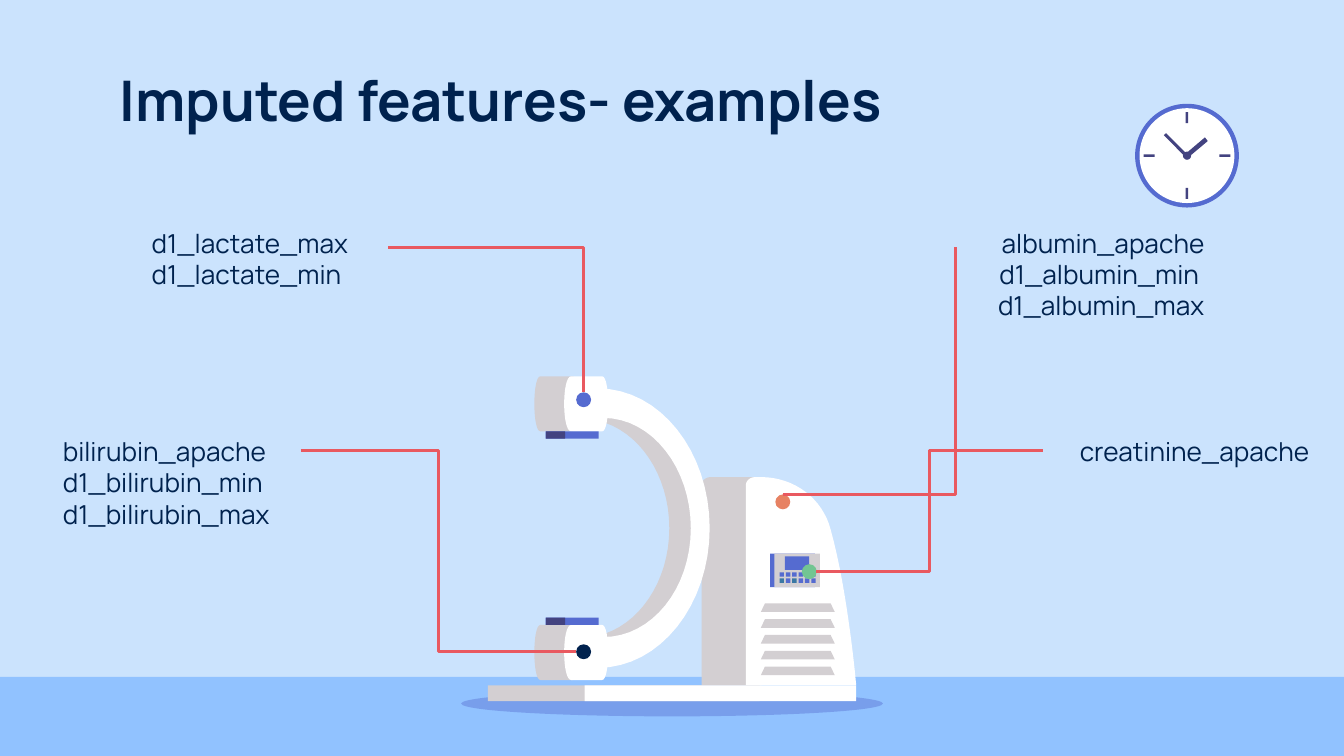
from collections import namedtuple

from lxml.etree import SubElement
from pptx import Presentation
from pptx.dml.color import RGBColor
from pptx.enum.shapes import MSO_CONNECTOR as Link, MSO_SHAPE as Preset
from pptx.enum.text import MSO_ANCHOR as Anchor, PP_ALIGN as Align
from pptx.oxml.ns import qn
from pptx.util import Pt

SKY = RGBColor(0xCB, 0xE3, 0xFD)
FLOOR = RGBColor(0x91, 0xC2, 0xFF)
NAVY = RGBColor(0x00, 0x22, 0x4E)
BLUE = RGBColor(0x55, 0x6B, 0xD0)
TEAL = RGBColor(0x3B, 0x78, 0xA4)
INDIGO = RGBColor(0x43, 0x43, 0x80)
GREY = RGBColor(0xD3, 0xCF, 0xD2)
WHITE = RGBColor(0xFF, 0xFF, 0xFF)
RED = RGBColor(0xE9, 0x59, 0x60)
ORANGE = RGBColor(0xE7, 0x82, 0x63)
GREEN = RGBColor(0x72, 0xC5, 0x92)

Box = namedtuple("Box", "left top width height")
CURVE_STEPS = 16
DOT = 8


def paint(shape, color):
    shape.shadow.inherit = False
    shape.fill.solid()
    shape.fill.fore_color.rgb = color
    shape.line.fill.background()
    return shape


def add_preset(page, box, kind, color, left, top, width, height):
    lengths = (box.left + left, box.top + top, width, height)
    return paint(page.shapes.add_shape(kind, *map(Pt, lengths)), color)


def add_outline(page, box, color, start, *steps):
    """Join points (x, y) by lines and (x1, y1, x2, y2, x, y) by cubic curves."""
    points = [start]
    for step in steps:
        if len(step) == 2:
            points.append(step)
            continue
        nodes = (points[-1], step[:2], step[2:4], step[4:])
        for index in range(1, CURVE_STEPS + 1):
            t = index / CURVE_STEPS
            weights = ((1 - t) ** 3, 3 * t * (1 - t) ** 2, 3 * t * t * (1 - t), t ** 3)
            points.append(tuple(sum(w * node[axis] for w, node in zip(weights, nodes))
                                for axis in (0, 1)))
    first, *rest = [(Pt(box.left + x), Pt(box.top + y)) for x, y in points]
    builder = page.shapes.build_freeform(*first)
    builder.add_line_segments(rest, close=True)
    return paint(builder.convert_to_shape(), color)


def add_text(page, box, lines, align=Align.LEFT, **font):
    frame = page.shapes.add_textbox(*map(Pt, box)).text_frame
    layout = {"word_wrap": True, "vertical_anchor": Anchor.TOP, "margin_left": Pt(7.2),
              "margin_right": Pt(7.2), "margin_top": 0, "margin_bottom": 0}
    for name, value in layout.items():
        setattr(frame, name, value)
    for index, line in enumerate(lines):
        para = frame.add_paragraph() if index else frame.paragraphs[0]
        para.alignment = align
        span = para.add_run()
        span.text = line
        span.font.color.rgb = NAVY
        for name, value in {"name": "Manrope", "size": Pt(14), **font}.items():
            setattr(span.font, name, value)


def add_leader(page, begin, end, kind="bentConnector3"):
    leader = page.shapes.add_connector(Link.ELBOW, *map(Pt, begin + end))
    leader.line.color.rgb = RED
    leader.line.width = Pt(1.5)
    properties = leader.element.spPr
    properties.find(qn("a:prstGeom")).set("prst", kind)
    SubElement(properties, qn("a:effectLst"))


def draw_panel(page, box):
    add_preset(page, box, Preset.RECTANGLE, BLUE, 0, 0, 24, 18)
    add_preset(page, box, Preset.RECTANGLE, GREY, 2.2, 0, 24.4, 18)
    add_preset(page, box, Preset.RECTANGLE, BLUE, 7.9, 1.5, 13, 7.2)
    # Keypad
    for row in range(2):
        for column in range(6):
            color = TEAL if row == 1 and column in (0, 2) else BLUE
            add_preset(page, box, Preset.RECTANGLE, color,
                       5 + 3.4 * column, 10 + 3.3 * row, 2.4, 2.4)


def draw_head(page, box, plate_top):
    # Housing, grey side then white front
    for color, left, right, bulge_left, bulge_right in (
            (GREY, 4.3, 21.6, 0, 25.2), (WHITE, 20.8, 37.4, 15.8, 41.7)):
        add_outline(page, box, color, (left, 0),
                    (bulge_left, 0, bulge_left, box.height, left, box.height),
                    (right, box.height), (bulge_right, box.height, bulge_right, 0, right, 0))
    # Detector plate
    for color, width in ((BLUE, 28.4), (INDIGO, 10.4)):
        add_preset(page, box, Preset.RECTANGLE, color, 7.2, plate_top, width, 3.9)


def draw_scanner(page, box):
    # Floor shadow
    shade = add_preset(page, box, Preset.OVAL, BLUE, 0, 168.5, box.width, 13.7)
    SubElement(shade.element.spPr.find(".//" + qn("a:srgbClr")), qn("a:alpha"), val="41000")
    # Cabinet
    add_outline(page, box, GREY, (133.9, 54), (131, 54, 128.9, 56, 128.9, 58.3),
                (128.9, 165.6), (161, 165.6), (160.6, 54))
    add_outline(page, box, WHITE, (157.7, 54), (154.8, 54, 152.6, 56, 152.6, 58.3),
                (152.6, 165.6), (211.7, 165.6), (211.7, 165.6, 207.4, 115.9, 198, 82.1),
                (193.7, 65.5, 178.6, 54, 160.6, 54))
    draw_panel(page, Box(box.left + 165.6, box.top + 95, 26.6, 18))
    # Vents
    for index in range(5):
        top = 121.7 + 8.46 * index
        add_outline(page, box, GREY, (162.8, top), (160.6, top + 4.6),
                    (200.2, top + 4.6), (198, top))
    # Base
    for color, left in ((GREY, 14.4), (WHITE, 66.2)):
        add_preset(page, box, Preset.RECTANGLE, color, left, 165.6, 145.5, 8.5)
    # Joint between arm and cabinet
    add_outline(page, box, GREY, (128.9, 68.4), (128.9, 93.6), (141.1, 93.6),
                (148.3, 93.6, 148.3, 68.4, 141.1, 68.4))
    # Arm, grey inside then white outside
    add_outline(page, box, GREY, (73.4, 6.5), (73.4, 23.8),
                (95, 28.8, 111.6, 52.6, 111.6, 81.4), (111.6, 110.2, 95, 133.9, 73.4, 139),
                (73.4, 156.2), (73.4, 156.2, 128.9, 137.5, 128.9, 79.9),
                (128.9, 23, 73.4, 6.5, 73.4, 6.5))
    add_outline(page, box, WHITE, (73.4, 6.5), (73.4, 23), (76.3, 22.3),
                (102.2, 22.3, 123.1, 49, 123.1, 81.4),
                (123.1, 113.8, 102.2, 139.7, 76.3, 139.7), (73.4, 139.7), (73.4, 156.2),
                (106.6, 156.2, 133.2, 122.4, 133.2, 81.4), (133.2, 40.3, 106.6, 6.5, 73.4, 6.5))
    # Upper and lower heads
    for top, plate_top in ((0, 29.5), (133.2, -3.9)):
        draw_head(page, Box(box.left + 38.2, box.top + top, 41.7, 29.5), plate_top)


def draw_clock(page, box):
    middle = box.width / 2
    # Rim and face
    for color, inset in ((BLUE, 0), (WHITE, 2.4)):
        size = box.width - 2 * inset
        add_preset(page, box, Preset.OVAL, color, inset, inset, size, size)
    # Quarter marks
    for x, y in ((0, -1), (1, 0), (0, 1), (-1, 0)):
        width, height = (5.9, 1.4) if x else (1.4, 5.9)
        add_preset(page, box, Preset.RECTANGLE, INDIGO, middle + 20.3 * x - width / 2,
                   middle + 20.3 * y - height / 2, width, height)
    # Hub and hands
    add_preset(page, box, Preset.OVAL, INDIGO, middle - 2.2, middle - 2.2, 4.4, 4.4)
    add_outline(page, box, INDIGO, (37.4, 18), (38.9, 20), (28.4, 28.8), (26.8, 27))
    add_outline(page, box, INDIGO, (16.6, 15.8), (28.2, 27.4), (27, 28.6), (15.4, 16.8))


def draw_callouts(page, box):
    texts = (
        (74.2, 121.7, Align.LEFT, ("d1_lactate_max", "d1_lactate_min")),
        (491.8, 121.7, Align.RIGHT, ("albumin_apache", "d1_albumin_min ", "d1_albumin_max")),
        (26.6, 233.3, Align.LEFT, ("bilirubin_apache", "d1_bilirubin_min", "d1_bilirubin_max")),
        (550.8, 233.3, Align.RIGHT, ("creatinine_apache ",)),
    )
    for left, top, align, lines in texts:
        place = Box(box.left + left, box.top + top, 160.6, 17.5 * len(lines))
        add_text(page, place, lines, align)
    # Target dots, by centre
    for color, x, y in ((BLUE, 312.7, 214.2), (NAVY, 312.7, 349.2),
                        (ORANGE, 419.4, 268.9), (GREEN, 433.6, 306.3)):
        add_preset(page, box, Preset.OVAL, color, x - DOT / 2, y - DOT / 2, DOT, DOT)
    # Leaders
    for begin, end, kind in (
            ((208, 132.5), (312.7, 210.2), "bentConnector2"),
            ((161, 241.2), (308.7, 349.2), "bentConnector3"),
            ((419.4, 264.9), (511.9, 132.5), "bentConnector2"),
            ((558.7, 241.2), (437.2, 306.3), "bentConnector3")):
        add_leader(page, (box.left + begin[0], box.top + begin[1]),
                   (box.left + end[0], box.top + end[1]), kind)


def draw_slide(page, box):
    page.background.fill.solid()
    page.background.fill.fore_color.rgb = SKY
    add_preset(page, box, Preset.RECTANGLE, FLOOR, 0, 362.7, box.width, box.height - 362.7)
    draw_scanner(page, Box(247, 201.6, 226, 182.2))
    add_text(page, Box(57, 35.3, 607, 45.4), ["Imputed features- examples"],
             size=Pt(30), bold=True)
    draw_callouts(page, box)
    draw_clock(page, Box(608.1, 55.6, 55.6, 55.6))


def main():
    deck = Presentation()
    deck.slide_width, deck.slide_height = Pt(720), Pt(405)
    page = deck.slides.add_slide(deck.slide_layouts[6])
    draw_slide(page, Box(0, 0, 720, 405))
    deck.save("out.pptx")


if __name__ == "__main__":
    main()
